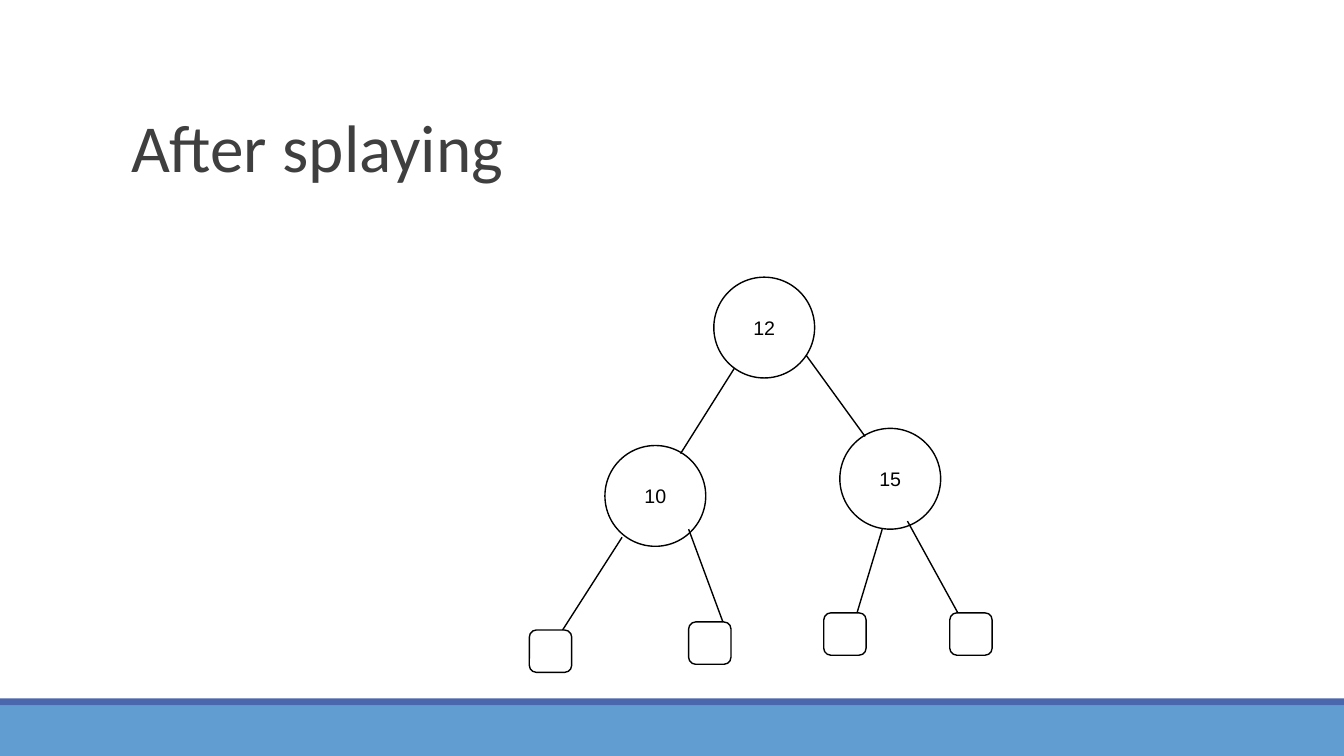
"""Build a slide that shows a small binary tree after splaying."""
from dataclasses import dataclass

import pptx
import pptx.dml.color
import pptx.enum.shapes
import pptx.enum.text
import pptx.oxml.ns
import pptx.util
from lxml import etree
from pptx.util import Inches


@dataclass(frozen=True)
class Theme:
    """Hold the colours, fonts and sizes of the slide."""
    paper: str = "FFFFFF"
    ink: str = "000000"
    heading: str = "3F3F3F"
    footer: str = "629DD1"
    stripe: str = "4A66AC"
    title_font: str = "Calibri"
    key_font: str = "Arial"
    title_size: int = 48
    key_size: int = 14
    stroke: int = 1
    node_size: float = 1
    leaf_size: float = 0.42


THEME = Theme()
SHAPE = pptx.enum.shapes.MSO_SHAPE
ALIGN = pptx.enum.text.PP_ALIGN
ANCHOR = pptx.enum.text.MSO_ANCHOR

ROOT = (7.08, 2.75, "12")
CHILDREN = [(6, 4.42, "10"), (8.33, 4.25, "15")]
LEAVES = [(5.25, 6.25), (6.83, 6.17), (8.17, 6.08), (9.42, 6.08)]
EDGES = [
    (7.33, 3.58, 6.75, 4.5),
    (7.92, 3.42, 8.58, 4.33),
    (6.17, 5.33, 5.58, 6.25),
    (6.83, 5.25, 7.17, 6.17),
    (8.75, 5.25, 8.5, 6.08),
    (9, 5.17, 9.5, 6.08),
]


def rgb(colour):
    """Turn a hex string into a colour value."""
    return pptx.dml.color.RGBColor.from_string(colour)


def write_text(shape, text, *, font, size, colour, align, anchor, spacing=1.0):
    """Put formatted text into a shape."""
    frame = shape.text_frame
    frame.word_wrap = True
    frame.auto_size = pptx.enum.text.MSO_AUTO_SIZE.NONE
    frame.vertical_anchor = anchor
    frame.text = text
    paragraph = frame.paragraphs[0]
    paragraph.alignment = align
    paragraph.line_spacing = spacing
    style = paragraph.runs[0].font
    style.name = font
    style.size = pptx.util.Pt(size)
    style.color.rgb = rgb(colour)


def add_filled(slide, kind, left, top, width, height, fill, outline=None):
    """Add a filled shape with an optional outline."""
    shape = slide.shapes.add_shape(
        kind, Inches(left), Inches(top), Inches(width), Inches(height))
    shape.shadow.inherit = False
    shape.fill.solid()
    shape.fill.fore_color.rgb = rgb(fill)
    if outline:
        shape.line.color.rgb = rgb(outline)
        shape.line.width = pptx.util.Pt(THEME.stroke)
    else:
        shape.line.fill.background()
    return shape


def add_node(slide, left, top, key):
    """Add a round tree node with its key."""
    node = add_filled(slide, SHAPE.OVAL, left, top, THEME.node_size,
                      THEME.node_size, THEME.paper, THEME.ink)
    write_text(node, key, font=THEME.key_font, size=THEME.key_size,
               colour=THEME.ink, align=ALIGN.CENTER, anchor=ANCHOR.MIDDLE)


def add_leaf(slide, left, top):
    """Add an empty external node."""
    add_filled(slide, SHAPE.ROUNDED_RECTANGLE, left, top, THEME.leaf_size,
               THEME.leaf_size, THEME.paper, THEME.ink)


def add_edge(slide, *ends):
    """Add a line from a parent to a child."""
    edge = slide.shapes.add_connector(
        pptx.enum.shapes.MSO_CONNECTOR.STRAIGHT, *map(Inches, ends))
    edge.line.color.rgb = rgb(THEME.ink)
    edge.line.width = pptx.util.Pt(THEME.stroke)
    etree.SubElement(edge._element.spPr, pptx.oxml.ns.qn("a:effectLst"))


def set_title(slide, text):
    """Place and format the slide title."""
    title = slide.shapes.title
    title.left, title.top = Inches(1.2), Inches(0.31)
    title.width, title.height = Inches(11), Inches(1.59)
    write_text(title, text, font=THEME.title_font, size=THEME.title_size,
               colour=THEME.heading, align=ALIGN.LEFT, anchor=ANCHOR.BOTTOM,
               spacing=0.85)


def main():
    """Build and save the presentation."""
    deck = pptx.Presentation()
    deck.slide_width, deck.slide_height = Inches(13.33), Inches(7.5)
    slide = deck.slides.add_slide(deck.slide_layouts.get_by_name("Title Only"))
    add_filled(slide, SHAPE.RECTANGLE, 0, 7, 13.33, 0.5, THEME.footer)
    add_filled(slide, SHAPE.RECTANGLE, 0, 6.93, 13.33, 0.07, THEME.stripe)
    set_title(slide, "After splaying")
    for child in CHILDREN:
        add_node(slide, *child)
    for leaf in LEAVES:
        add_leaf(slide, *leaf)
    for edge in EDGES:
        add_edge(slide, *edge)
    add_node(slide, *ROOT)
    deck.save("out.pptx")


if __name__ == "__main__":
    main()
